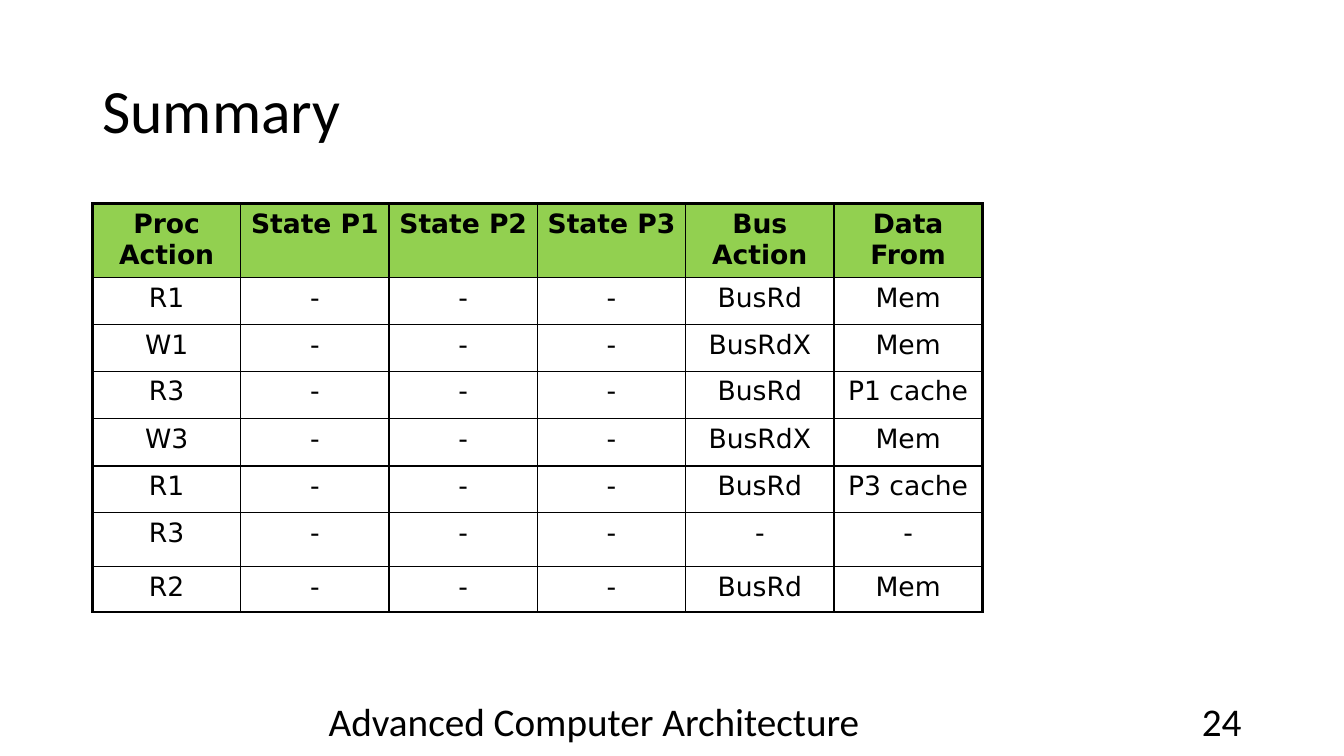
from lxml.etree import SubElement
from pptx import Presentation
from pptx.dml.color import RGBColor
from pptx.enum.text import MSO_ANCHOR, PP_ALIGN
from pptx.oxml.ns import qn
from pptx.util import Inches, Pt

COLORS = {"ink": "000000", "header": "92D050"}
LEFT_MARGIN = 6.88
FOOTER_TOP, FOOTER_HEIGHT = 92.68, 5.33
ROW_HEIGHTS = [9.73, 6.27, 6.13, 6.27, 6.27, 6.13, 7.2, 6]
HEADINGS = ["Proc Action", "State P1", "State P2", "State P3", "Bus Action", "Data From"]
TRANSACTIONS = [
    ("R1", "BusRd", "Mem"),
    ("W1", "BusRdX", "Mem"),
    ("R3", "BusRd", "P1 cache"),
    ("W3", "BusRdX", "Mem"),
    ("R1", "BusRd", "P3 cache"),
    ("R3", "-", "-"),
    ("R2", "BusRd", "Mem"),
]


class SlideBuilder:
    """Style and current slide; lengths are percentages of the slide's size."""

    def __init__(self, deck):
        self.deck = deck
        self.slide = deck.slides.add_slide(deck.slide_layouts[6])
        self.text_font, self.table_font = "Calibri", "DejaVu Sans"
        self.outer_line, self.inner_line = Pt(2.25), Pt(1)

    def across(self, share):
        return round(self.deck.slide_width * share / 100)

    def down(self, share):
        return round(self.deck.slide_height * share / 100)

    def place(self, left, top, width, height):
        return self.across(left), self.down(top), self.across(width), self.down(height)

    def add_words(self, frame, words, size, font, align, bold=False):
        frame.word_wrap = True
        paragraph = frame.paragraphs[0]
        paragraph.alignment = align
        run = paragraph.add_run()
        run.text = words
        run.font.size, run.font.name, run.font.bold = Pt(size), font, bold
        run.font.color.rgb = RGBColor.from_string(COLORS["ink"])
        return paragraph

    def text(self, words, area, size, align=PP_ALIGN.LEFT):
        frame = self.slide.shapes.add_textbox(*self.place(*area)).text_frame
        frame.vertical_anchor = MSO_ANCHOR.MIDDLE
        return self.add_words(frame, words, size, self.text_font, align)

    def border(self, cell, side, width):
        line = SubElement(cell._tc.get_or_add_tcPr(), qn(f"a:ln{side}"), w=str(int(width)))
        paint = SubElement(line, qn("a:solidFill"))
        SubElement(paint, qn("a:srgbClr"), val=COLORS["ink"])

    def table(self, rows, left, top, width, heights):
        area = self.place(left, top, width, sum(heights))
        grid = self.slide.shapes.add_table(len(rows), len(rows[0]), *area).table
        grid.first_row = grid.horz_banding = False
        last_row, last_column = len(rows) - 1, len(rows[0]) - 1
        for column in grid.columns:
            column.width = self.across(width / len(rows[0]))
        for r, (entries, height) in enumerate(zip(rows, heights)):
            grid.rows[r].height = self.down(height)
            for c, words in enumerate(entries):
                cell = grid.cell(r, c)
                self.add_words(cell.text_frame, words, 19, self.table_font, PP_ALIGN.CENTER, r == 0)
                edges = {"L": c == 0, "R": c == last_column, "T": r == 0, "B": r == last_row}
                for side, outer in edges.items():
                    self.border(cell, side, self.outer_line if outer else self.inner_line)
                if r == 0:
                    cell.fill.solid()
                    cell.fill.fore_color.rgb = RGBColor.from_string(COLORS["header"])
                else:
                    cell.fill.background()


def main():
    deck = Presentation()
    deck.slide_width, deck.slide_height = Inches(13.33), Inches(7.5)
    summary = SlideBuilder(deck)
    title = summary.text("Summary", (LEFT_MARGIN, 5.33, 86.25, 19.33), 44)
    title.line_spacing = 0.9
    summary.text("24", (70.62, FOOTER_TOP, 22.5, FOOTER_HEIGHT), 28, PP_ALIGN.RIGHT)
    rows = [HEADINGS] + [[action, "-", "-", "-", bus, data] for action, bus, data in TRANSACTIONS]
    summary.table(rows, LEFT_MARGIN, 26.93, 66.22, ROW_HEIGHTS)
    course_area = (21.5, FOOTER_TOP, 45.38, FOOTER_HEIGHT)
    summary.text("Advanced Computer Architecture", course_area, 28, PP_ALIGN.CENTER)
    deck.save("out.pptx")


if __name__ == "__main__":
    main()
